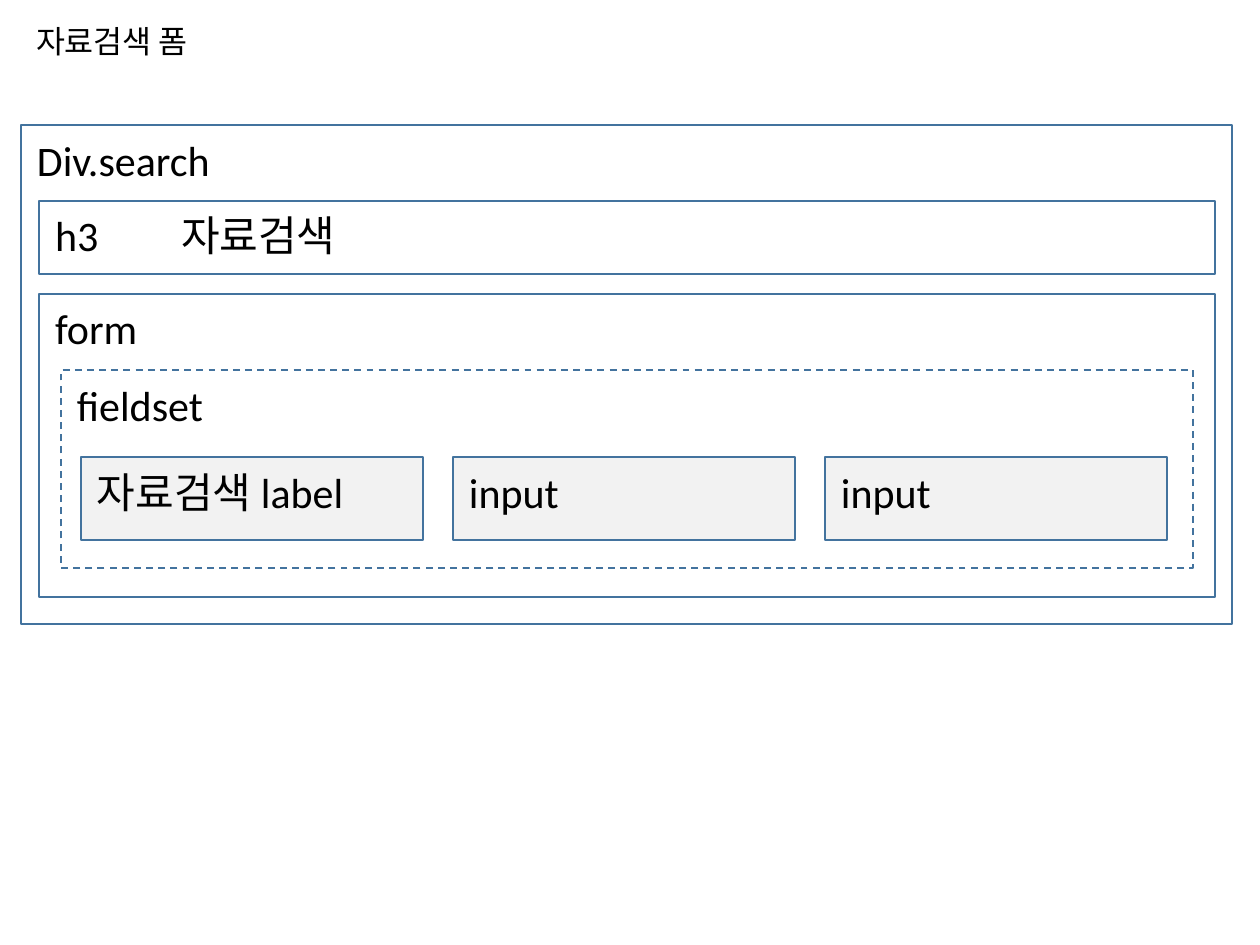
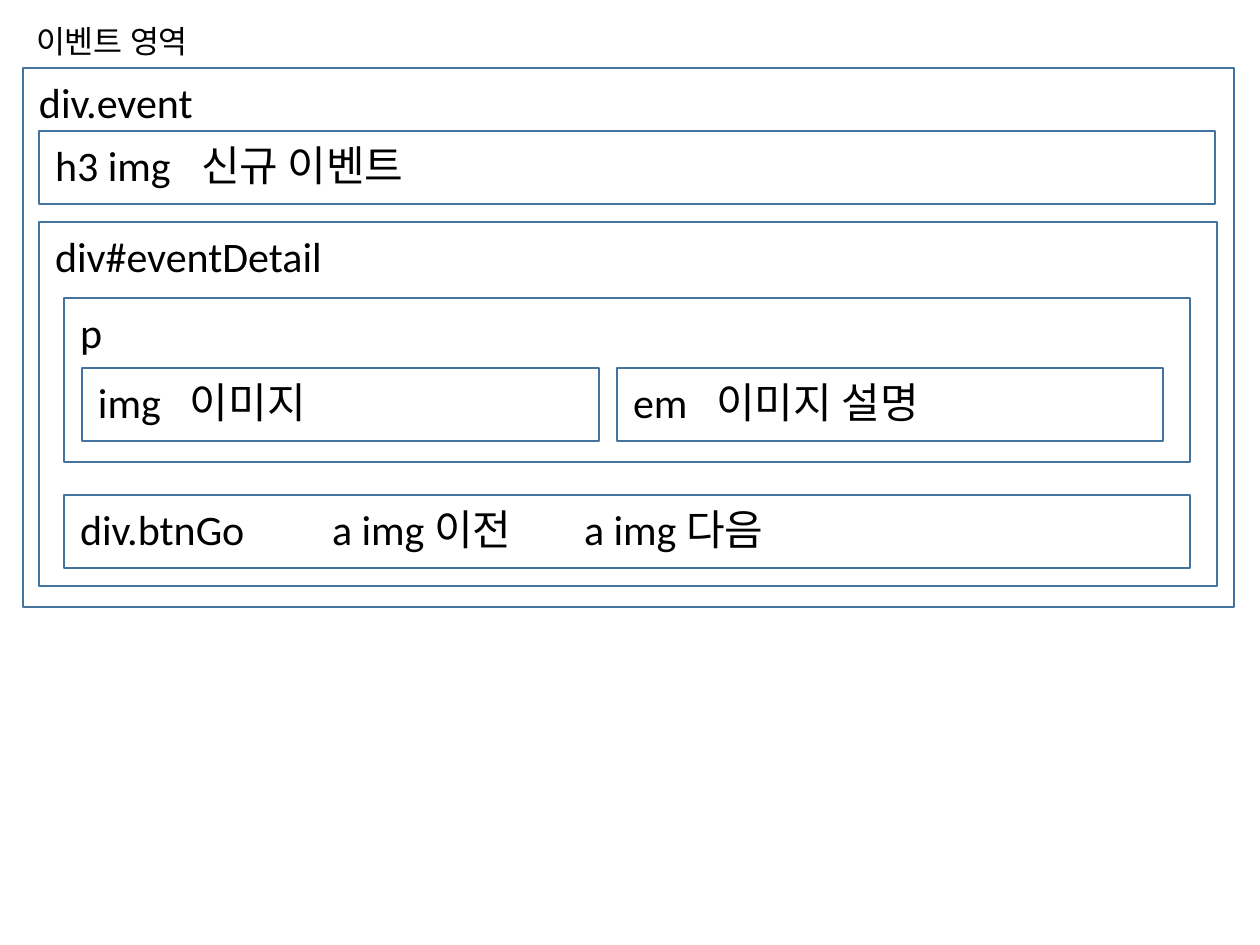
"""Build two wireframe slides: a search form and an event area."""
from pptx import Presentation
from pptx.dml.color import RGBColor
from pptx.enum.dml import MSO_LINE
from pptx.enum.shapes import MSO_SHAPE
from pptx.enum.text import MSO_ANCHOR, MSO_AUTO_SIZE, PP_ALIGN
from pptx.oxml.ns import qn
from pptx.util import Emu, Pt
from lxml.etree import SubElement

WHITE = RGBColor(0xFF, 0xFF, 0xFF)
GRAY = RGBColor(0xF2, 0xF2, 0xF2)
BLUE = RGBColor(0x43, 0x73, 0x9E)
BLACK = RGBColor(0x00, 0x00, 0x00)
FONT = "Calibri"
SCALE = 914400 / 126
ROW = 73


def px(size):
    return Emu(round(size * SCALE))


class Deck:
    def __init__(self):
        self.prs = Presentation()
        self.prs.slide_width, self.prs.slide_height = px(1260), px(945)
        self.slide = None

    def page(self, title):
        self.slide = self.prs.slides.add_slide(self.prs.slide_layouts[5])
        shape = self.slide.shapes.title
        shape.left, shape.top, shape.width, shape.height = map(px, (23, 16, 192, 50))
        self.text(shape, title, 18, 13, 6)
        shape.text_frame.word_wrap = False
        shape.text_frame.auto_size = MSO_AUTO_SIZE.SHAPE_TO_FIT_TEXT

    def box(self, left, top, width, height, label, fill=WHITE, dash=False, tabs=()):
        shape = self.slide.shapes.add_shape(
            MSO_SHAPE.RECTANGLE, *map(px, (left, top, width, height)))
        shape.shadow.inherit = False
        shape.fill.solid()
        shape.fill.fore_color.rgb = fill
        shape.line.color.rgb = BLUE
        shape.line.width = Pt(1)
        if dash:
            shape.line.dash_style = MSO_LINE.DASH
        para = self.text(shape, label, 24, 16, 9)
        if tabs:
            self.stops(para, tabs)

    def text(self, shape, words, size, side, edge):
        frame = shape.text_frame
        frame.word_wrap = True
        frame.vertical_anchor = MSO_ANCHOR.TOP
        frame.margin_left = frame.margin_right = px(side)
        frame.margin_top = frame.margin_bottom = px(edge)
        para = frame.paragraphs[0]
        para.alignment = PP_ALIGN.LEFT
        run = para.add_run()
        run.text = words
        run.font.name = FONT
        run.font.size = Pt(size)
        run.font.color.rgb = BLACK
        return para

    def stops(self, para, tabs):
        group = SubElement(para._p.get_or_add_pPr(), qn("a:tabLst"))
        for tab in tabs:
            SubElement(group, qn("a:tab"), pos=str(px(tab)), algn="l")


def search(deck):
    deck.page("자료검색 폼")
    deck.box(21, 125, 1211, 499, "Div.search")
    deck.box(39, 201, 1176, ROW, "h3\t자료검색", tabs=[126])
    deck.box(39, 294, 1176, 303, "form")
    deck.box(61, 370, 1132, 198, "fieldset", dash=True)
    for col, label in enumerate(["자료검색 label", "input", "input"]):
        deck.box(81 + 372 * col, 457, 342, 83, label, fill=GRAY)


def event(deck):
    deck.page("이벤트 영역")
    deck.box(23, 68, 1211, 539, "div.event")
    deck.box(39, 131, 1176, ROW, "h3 img\t신규 이벤트", tabs=[146])
    deck.box(39, 222, 1178, 364, "div#eventDetail")
    deck.box(64, 495, 1126, ROW, "div.btnGo\ta img 이전\ta img 다음", tabs=[252, 504])
    deck.box(64, 298, 1126, 164, "p")
    deck.box(82, 368, 517, ROW, "img\t이미지", tabs=[92])
    deck.box(617, 368, 546, ROW, "em\t이미지 설명", tabs=[83])


def main():
    deck = Deck()
    search(deck)
    event(deck)
    deck.prs.save("out.pptx")


if __name__ == "__main__":
    main()
